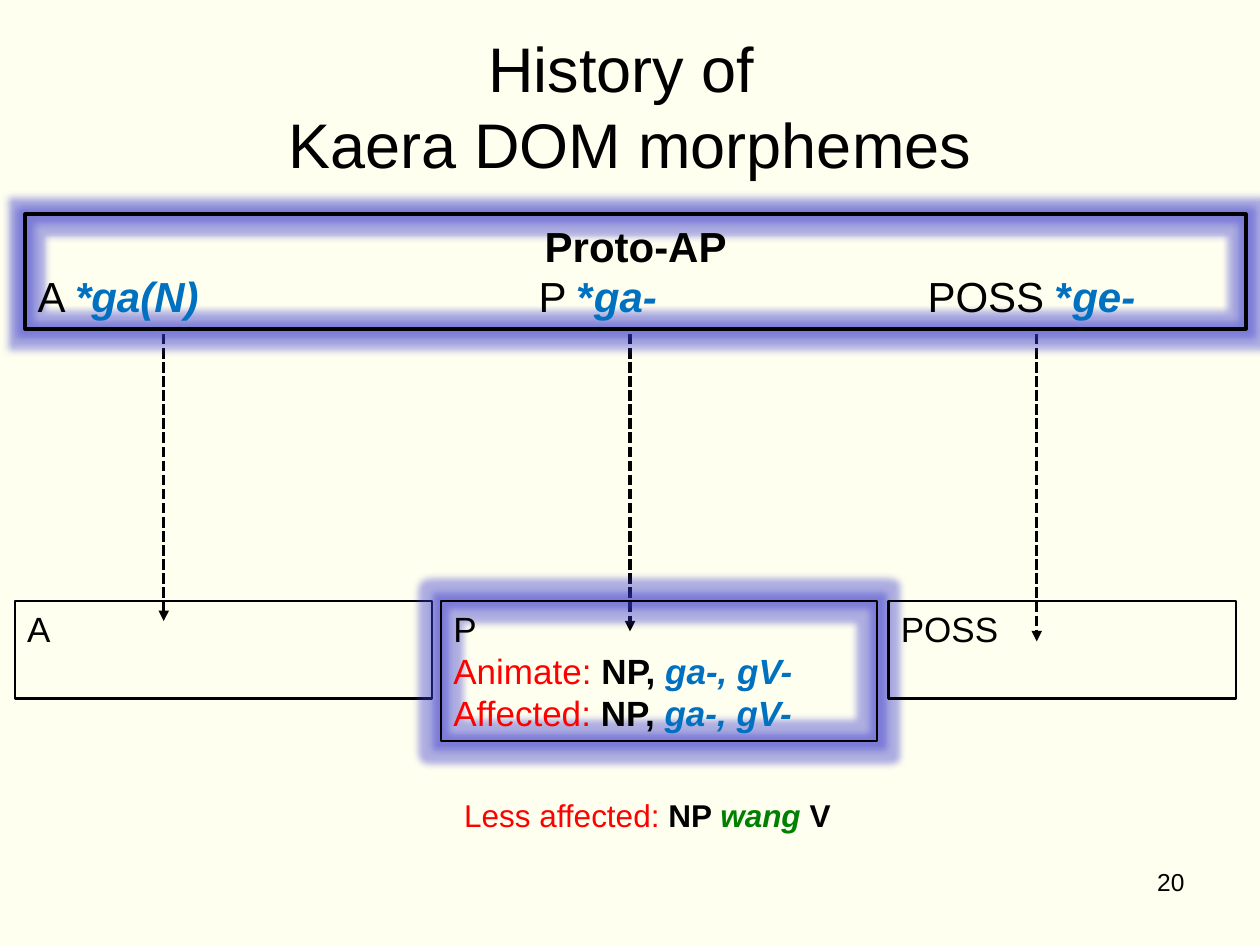
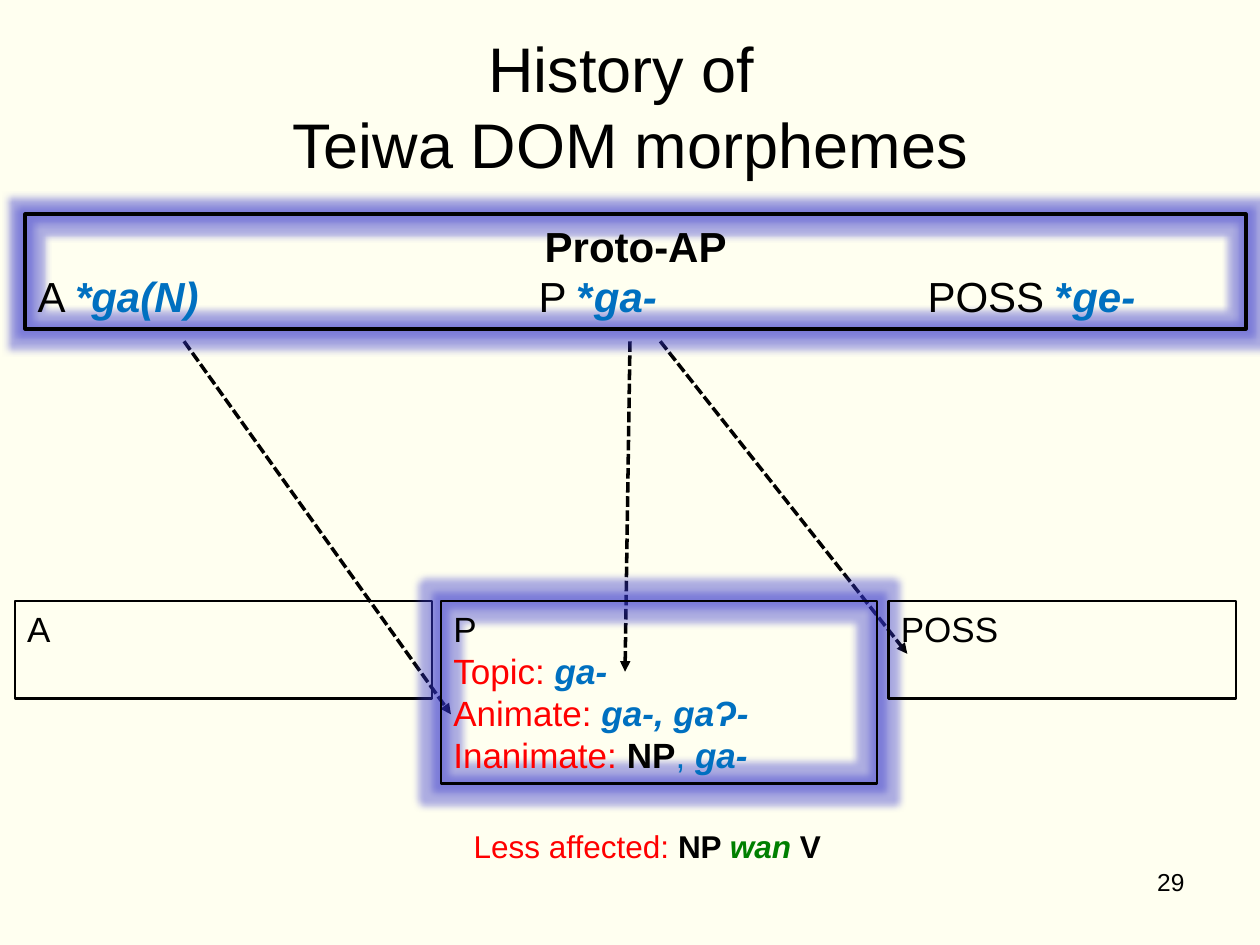
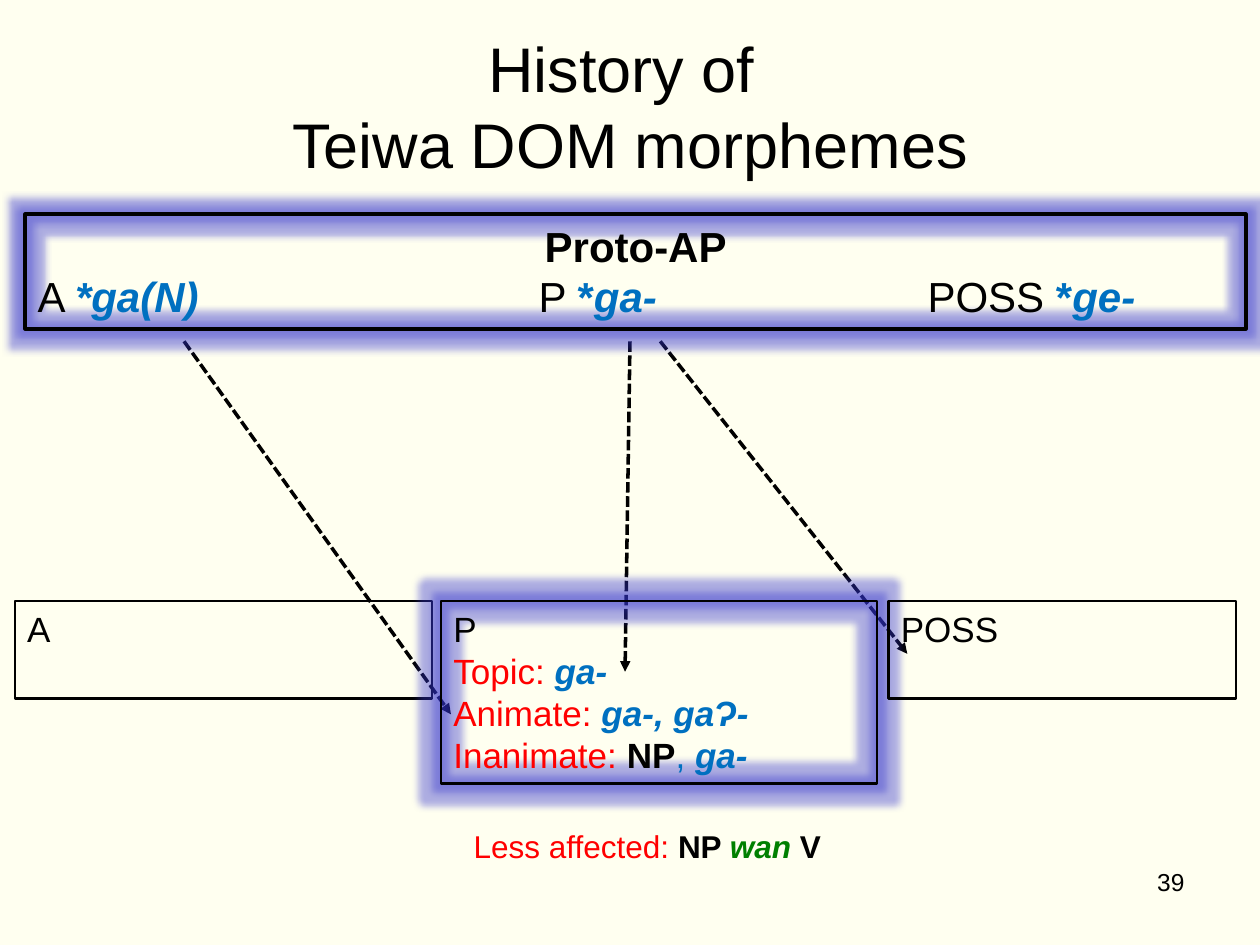
import dataclasses

import lxml.etree
import pptx
import pptx.dml.color
import pptx.enum.dml
import pptx.enum.shapes
import pptx.enum.text
import pptx.oxml.ns
import pptx.util

Cm = pptx.util.Cm
Pt = pptx.util.Pt
Align = pptx.enum.text.PP_ALIGN
Anchor = pptx.enum.text.MSO_ANCHOR
qn = pptx.oxml.ns.qn

# Content: each row is a list of (text, tone) runs
HEAD = [("Proto-AP", "bold")]
FORMS = [("A ", "plain"), ("*ga(N)", "form"),
         ("\tP ", "plain"), ("*", "star"), ("ga-", "form"),
         ("\tPOSS ", "plain"), ("*", "star"), ("ge-", "form")]

KAERA = {
    "name": "Kaera",
    "rows": [
        [("P", "plain")],
        [("Animate: ", "label"), ("NP, ", "bold"), ("ga-, gV-", "form")],
        [("Affected: ", "label"), ("NP, ", "bold"), ("ga-, gV-", "form")],
    ],
    "verb": "wang",
    "note_top": 15.93,
    "arrows": [(3.3, 6.73, 3.3, 12.52), (12.7, 6.73, 12.7, 12.73),
               (20.9, 6.73, 20.9, 12.93)],
}
TEIWA = {
    "name": "Teiwa",
    "rows": [
        [("P", "plain")],
        [("Topic: ", "label"), ("ga-", "form")],
        [("Animate: ", "label"), ("ga-, gaɁ-", "form")],
        [("Inanimate: ", "label"), ("NP", "bold"), (", ", "comma"),
         ("ga-", "form")],
    ],
    "verb": "wan",
    "note_top": 16.54,
    "arrows": [(3.71, 6.88, 9.09, 14.4), (12.7, 6.88, 12.6, 13.54),
               (13.31, 6.88, 18.29, 13.18)],
}
SLIDES = [(20, KAERA), (29, TEIWA), (39, TEIWA)]


# Theme
@dataclasses.dataclass(frozen=True)
class Theme:
    font: str = "Arial"
    back: str = "FFFFF0"
    ink: str = "000000"
    red: str = "FF0000"
    blue: str = "0070C0"
    green: str = "008000"
    glow: str = "3333CC"
    title: int = 36
    head: int = 24
    body: int = 20
    note: int = 18
    page: int = 14

    def tone(self, name):
        """Return colour, bold and italic for a run."""
        return {
            "plain": (self.ink, False, False),
            "bold": (self.ink, True, False),
            "label": (self.red, False, False),
            "form": (self.blue, True, True),
            "star": (self.blue, True, False),
            "comma": (self.blue, False, False),
            "verb": (self.green, True, True),
        }[name]


THEME = Theme()

# Layout, in centimetres
TITLE = (1.27, 0.53, 22.86, 3.18)
BAND = (0.51, 4.32, 24.61, 2.31)
TABS = (10.1, 17.94)
BOX_TOP, ROW, PAD = 12.12, 0.86, 0.24
COLS = {"A": (0.3, 8.41), "P": (8.89, 8.79), "POSS": (17.91, 7.01)}
NOTE = (9.05, 8, 1.02)
PAGE = (18.21, 17.35, 5.92, 1.32)


def rgb(code):
    return pptx.dml.color.RGBColor.from_string(code)


def add_xml(node, tag, **attrs):
    return lxml.etree.SubElement(node, qn(tag), attrs)


def write(frame, rows, size, align=Align.LEFT, anchor=Anchor.TOP, tabs=()):
    """Fill a text frame with rows of runs; a newline run breaks the line."""
    frame.word_wrap = True
    frame.auto_size = pptx.enum.text.MSO_AUTO_SIZE.NONE
    frame.vertical_anchor = anchor
    for i, row in enumerate(rows):
        para = frame.add_paragraph() if i else frame.paragraphs[0]
        para.alignment = align
        para.font.size = Pt(size)
        if tabs:
            stops = add_xml(para._p.get_or_add_pPr(), "a:tabLst")
            for pos in tabs:
                add_xml(stops, "a:tab", pos=str(int(Cm(pos))), algn="l")
        for text, tone in row:
            if text == "\n":
                para.add_line_break()
                continue
            run = para.add_run()
            run.text = text
            font = run.font
            font.name, font.size = THEME.font, Pt(size)
            code, font.bold, font.italic = THEME.tone(tone)
            font.color.rgb = rgb(code)


def add_text(slide, place, rows, size, align):
    box = slide.shapes.add_textbox(*map(Cm, place))
    write(box.text_frame, rows, size, align=align)


def add_box(slide, place, width=1.5, glow=False):
    """Draw an open frame and return its text frame."""
    kind = pptx.enum.shapes.MSO_SHAPE.RECTANGLE
    box = slide.shapes.add_shape(kind, *map(Cm, place))
    box.shadow.inherit = False
    box.fill.background()
    box.line.color.rgb = rgb(THEME.ink)
    box.line.width = Pt(width)
    if glow:
        effects = box.element.spPr.find(qn("a:effectLst"))
        halo = add_xml(effects, "a:glow", rad=str(int(Pt(8))))
        color = add_xml(halo, "a:srgbClr", val=THEME.glow)
        add_xml(color, "a:alpha", val="40000")
    return box.text_frame


def add_arrow(slide, ends):
    kind = pptx.enum.shapes.MSO_CONNECTOR.STRAIGHT
    arrow = slide.shapes.add_connector(kind, *map(Cm, ends))
    arrow.line.color.rgb = rgb(THEME.ink)
    arrow.line.width = Pt(2)
    arrow.line.dash_style = pptx.enum.dml.MSO_LINE.SQUARE_DOT
    props = arrow.element.spPr
    add_xml(props.find(qn("a:ln")), "a:tailEnd", type="triangle")
    add_xml(props, "a:effectLst")


def add_slide(deck, layout, number, data):
    slide = deck.slides.add_slide(layout)
    title = [("History of ", "plain"), ("\n", "plain"),
             (f"{data['name']} DOM morphemes", "plain")]
    write(slide.shapes.title.text_frame, [title], THEME.title,
          align=Align.CENTER, anchor=Anchor.MIDDLE)

    for ends in data["arrows"]:
        add_arrow(slide, ends)

    # Modern forms: one box for each role
    for role, (left, width) in COLS.items():
        main = role == "P"
        rows = data["rows"] if main else [[(role, "plain")]]
        high = max(len(rows), 2) * ROW + PAD
        frame = add_box(slide, (left, BOX_TOP, width, high), glow=main)
        write(frame, rows, THEME.body)

    # Source forms
    frame = add_box(slide, BAND, width=2, glow=True)
    write(frame, [HEAD, FORMS], THEME.head, tabs=TABS)
    frame.paragraphs[0].alignment = Align.CENTER

    # Note and page number
    left, width, high = NOTE
    note = [("Less affected: ", "label"), ("NP ", "bold"),
            (data["verb"], "verb"), (" V", "bold")]
    add_text(slide, (left, data["note_top"], width, high), [note],
             THEME.note, Align.CENTER)
    add_text(slide, PAGE, [[(str(number), "plain")]], THEME.page, Align.RIGHT)


def main():
    deck = pptx.Presentation()
    deck.slide_width, deck.slide_height = Cm(25.4), Cm(19.05)

    # Shared background and title place
    fill = deck.slide_master.background.fill
    fill.solid()
    fill.fore_color.rgb = rgb(THEME.back)
    layout = deck.slide_layouts.get_by_name("Title Only")
    head = layout.placeholders[0]
    head.left, head.top, head.width, head.height = map(Cm, TITLE)

    for number, data in SLIDES:
        add_slide(deck, layout, number, data)
    deck.save("out.pptx")


if __name__ == "__main__":
    main()
